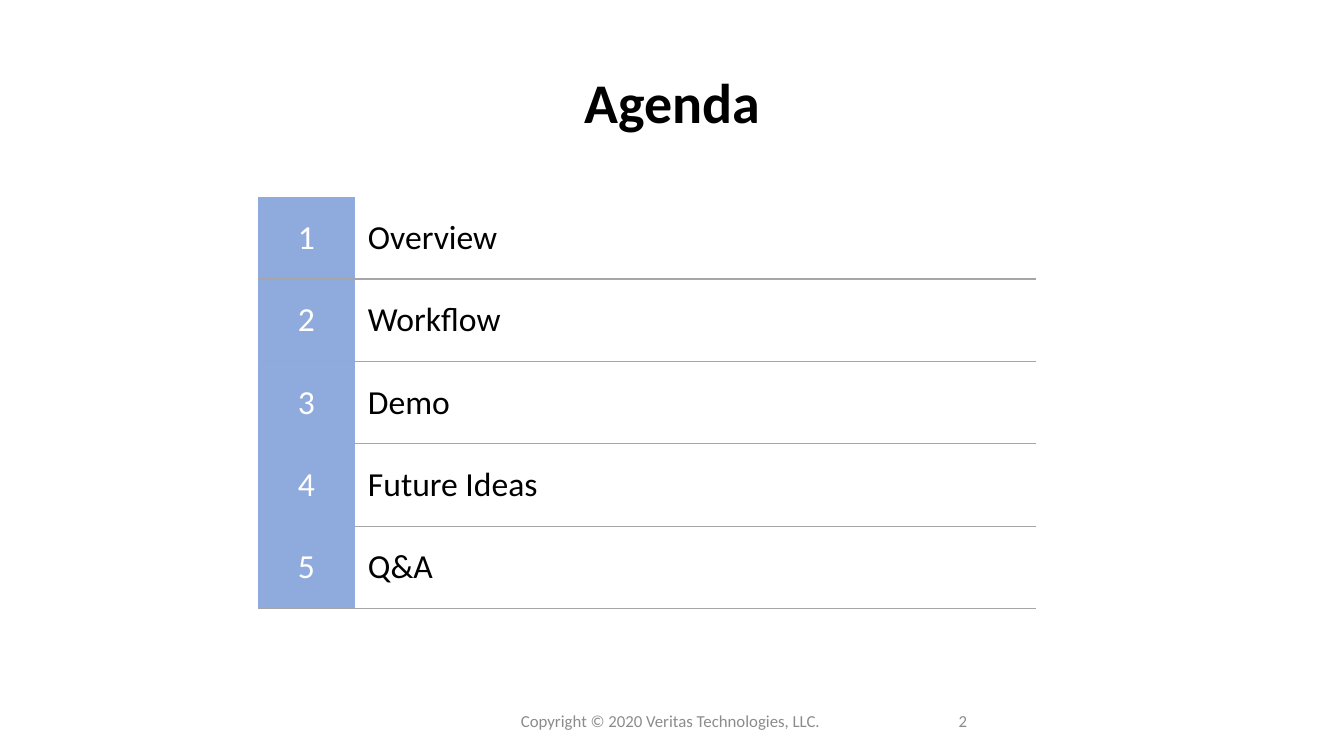
from pptx import Presentation
from pptx.dml.color import RGBColor
from pptx.enum.text import MSO_ANCHOR as Anchor, PP_ALIGN as Align
from pptx.oxml import parse_xml
from pptx.oxml.ns import nsdecls, qn
from pptx.util import Inches, Pt

FONT = "Calibri"
BLACK, WHITE, GRAY = "000000", "FFFFFF", "8C8C8C"
NUMBER_BLUE, RULE_GRAY = "8FAADC", "A6A6A6"
PLAIN_TABLE_STYLE = "{2D5ABB26-0587-4C30-8999-92F81FD0307C}"
TOPICS = ["Overview", "Workflow", "Demo", "Future Ideas", "Q&A"]
FULL_WIDTH_RULES = (1, 2, 5)


def color(value):
    return RGBColor.from_string(value)


def write(text_frame, text, size, text_color, align=Align.LEFT, bold=False):
    paragraph = text_frame.paragraphs[0]
    paragraph.alignment = align
    run = paragraph.add_run()
    run.text = text
    run.font.name = FONT
    run.font.size = Pt(size)
    run.font.bold = bold
    run.font.color.rgb = color(text_color)
    return paragraph


def place_title(slide, left, top, width, height):
    title = slide.shapes.title
    title.left, title.top = Inches(left), Inches(top)
    title.width, title.height = Inches(width), Inches(height)
    title.text_frame.vertical_anchor = Anchor.MIDDLE
    paragraph = write(title.text_frame, "Agenda", 40, BLACK, Align.CENTER, True)
    paragraph.line_spacing = 0.9


def add_bottom_rule(cell):
    rule = parse_xml(
        f'<a:lnB {nsdecls("a")} w="{Pt(1)}"><a:solidFill>'
        f'<a:srgbClr val="{RULE_GRAY}"/></a:solidFill></a:lnB>'
    )
    cell._tc.get_or_add_tcPr().insert(0, rule)


def fill_cell(cell, text, text_color, align):
    cell.vertical_anchor = Anchor.MIDDLE
    cell.margin_left = cell.margin_right = Inches(0.13)
    cell.margin_top = cell.margin_bottom = Inches(0.05)
    write(cell.text_frame, text, 24, text_color, align)


def add_agenda(slide, left, top, width, height, number_width):
    frame = slide.shapes.add_table(
        len(TOPICS), 2, Inches(left), Inches(top), Inches(width), Inches(height)
    )
    table = frame.table
    table.first_row = table.horz_banding = False
    next(frame._element.iter(qn("a:tableStyleId"))).text = PLAIN_TABLE_STYLE
    table.columns[0].width = Inches(number_width)
    table.columns[1].width = Inches(width - number_width)
    for number, topic in enumerate(TOPICS, 1):
        table.rows[number - 1].height = Inches(height / len(TOPICS))
        number_cell, topic_cell = table.rows[number - 1].cells
        fill_cell(number_cell, str(number), WHITE, Align.CENTER)
        fill_cell(topic_cell, topic, BLACK, Align.LEFT)
        number_cell.fill.solid()
        number_cell.fill.fore_color.rgb = color(NUMBER_BLUE)
        topic_cell.fill.background()
        add_bottom_rule(topic_cell)
        if number in FULL_WIDTH_RULES:
            add_bottom_rule(number_cell)


def add_footer_text(slide, text, left, top, width, height, align):
    box = slide.shapes.add_textbox(
        Inches(left), Inches(top), Inches(width), Inches(height)
    )
    box.text_frame.word_wrap = True
    box.text_frame.vertical_anchor = Anchor.MIDDLE
    write(box.text_frame, text, 12, GRAY, align)


def add_footer(slide, top, height):
    add_footer_text(slide, "Copyright © 2020 Veritas Technologies, LLC. ",
                    4.42, top, 4.5, height, Align.CENTER)
    add_footer_text(slide, "2", 9.41, top, 3, height, Align.LEFT)


def main():
    presentation = Presentation()
    presentation.slide_width = Inches(13.33)
    presentation.slide_height = Inches(7.5)
    slide = presentation.slides.add_slide(presentation.slide_layouts[5])
    place_title(slide, 0.92, 0.4, 11.5, 1.3)
    add_agenda(slide, 2.56, 1.95, 7.72, 4.09, 0.96)
    add_footer(slide, 6.95, 0.4)
    presentation.save("out.pptx")


if __name__ == "__main__":
    main()
